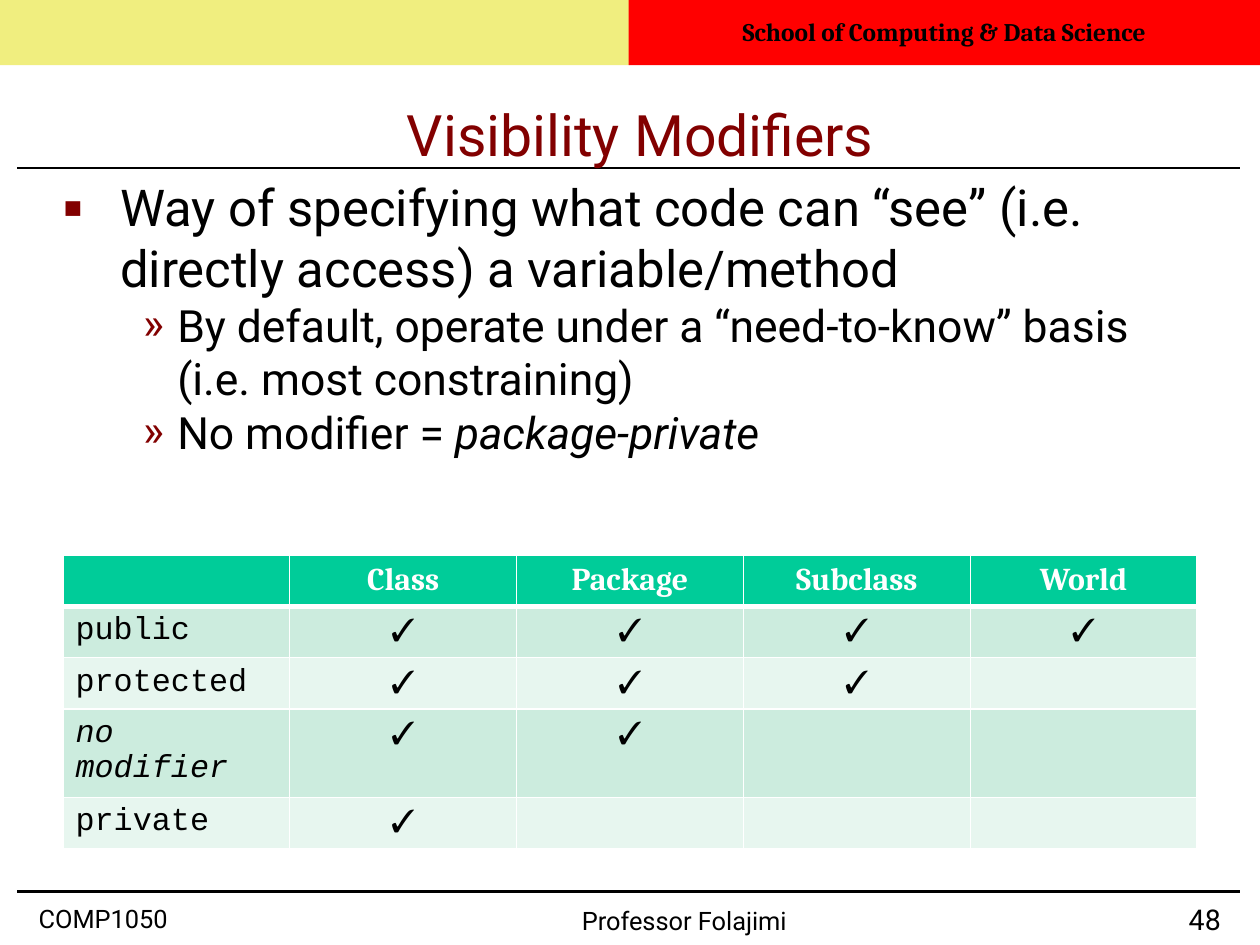
from lxml.etree import SubElement
from pptx import Presentation
from pptx.dml.color import RGBColor
from pptx.enum.shapes import MSO_CONNECTOR, MSO_SHAPE
from pptx.enum.text import MSO_ANCHOR, PP_ALIGN
from pptx.oxml import parse_xml
from pptx.oxml.ns import nsdecls, qn
from pptx.util import Cm, Pt

# Content
COLORS = {"black": "000000", "white": "FFFFFF", "maroon": "820000", "yellow": "E3DE00",
          "red": "FF0000", "green": "00CC99", "band1": "CCECDE", "band2": "E7F6EF"}
SCHOOL = "School of Computing & Data Science"
TITLE = "Visibility Modifiers"
# Level, then runs of (text, italic)
BULLETS = [
    (0, [("Way of specifying what code can “see” (i.e. directly access) a variable/method", False)]),
    (1, [("By default, operate under a “need-to-know” basis (i.e. most constraining)", False)]),
    (1, [("No modifier = ", False), ("package-private", True)]),
]
# Per level: size, bullet, left margin, hanging indent (cm)
LEVELS = [(32, "▪", 1.27, 1.27), (28, "»", 2.54, 0.76)]
SCOPES = ["Class", "Package", "Subclass", "World"]
# Modifier, number of scopes with access
MODIFIERS = [("public", 4), ("protected", 3), ("no modifier", 2), ("private", 1)]
# Text, left, top, width, size, alignment
FOOTERS = [
    ("COMP1050", 0.86, 20.07, 4.9, 16, PP_ALIGN.LEFT),
    ("Professor Folajimi", 12.93, 20.12, 4.9, 16, PP_ALIGN.LEFT),
    ("48", 25.02, 20.07, 2.11, 18, PP_ALIGN.RIGHT),
]


def rgb(name):
    return RGBColor.from_string(COLORS[name])


def write(p, text, size=16, font="Roboto", color="black", bold=False, italic=False,
          align=PP_ALIGN.LEFT, spacing=1.0):
    p.alignment, p.line_spacing = align, spacing
    r = p.add_run()
    r.text = text
    f = r.font
    f.name, f.size, f.bold, f.italic = font, Pt(size), bold, italic
    f.color.rgb = rgb(color)


def add_box(left, top, width, height, inset_top=0):
    tf = slide.shapes.add_textbox(Cm(left), Cm(top), Cm(width), Cm(height)).text_frame
    tf.word_wrap = True
    tf.margin_left = tf.margin_right = tf.margin_bottom = 0
    tf.margin_top = Cm(inset_top)
    return tf


def add_bar(left, width, color):
    sp = slide.shapes.add_shape(MSO_SHAPE.RECTANGLE, Cm(left), 0, Cm(width), Cm(1.45))
    sp.shadow.inherit = False
    sp.fill.solid()
    sp.fill.fore_color.rgb = rgb(color)
    sp.line.fill.background()
    return sp


def set_bullet(p, level):
    _, char, margin, hang = LEVELS[level]
    p.level = level
    pPr = p._p.get_or_add_pPr()
    pPr.set("marL", str(Cm(margin)))
    pPr.set("indent", str(-Cm(hang)))
    clr = SubElement(pPr, qn("a:buClr"))
    SubElement(clr, qn("a:srgbClr"), val=COLORS["maroon"])
    SubElement(pPr, qn("a:buFont"), typeface="Roboto")
    SubElement(pPr, qn("a:buChar"), char=char)


def set_borders(cell, widths):
    tcPr = cell._tc.get_or_add_tcPr()
    for i, (side, width) in enumerate(widths.items()):
        tcPr.insert(i, parse_xml(
            f'<a:ln{side} {nsdecls("a")} w="{Pt(width)}"><a:solidFill>'
            f'<a:srgbClr val="{COLORS["white"]}"/></a:solidFill></a:ln{side}>'))


prs = Presentation()
prs.slide_width, prs.slide_height = Cm(28), Cm(21)
slide = prs.slides.add_slide(prs.slide_layouts[6])

# Rules above the body and the footer
for y in (3.73, 19.81):
    rule = slide.shapes.add_connector(MSO_CONNECTOR.STRAIGHT, Cm(0.38), Cm(y), Cm(27.56), Cm(y))
    rule.line.color.rgb = rgb("black")
    rule.line.width = Pt(1.5)
    SubElement(rule._element.spPr, qn("a:effectLst"))

# Header bars
sp = add_bar(0, 14, "yellow")
SubElement(sp.fill._xPr.find(qn("a:solidFill"))[0], qn("a:alpha"), val="50000")
tf = add_bar(13.97, 14.03, "red").text_frame
tf.vertical_anchor = MSO_ANCHOR.MIDDLE
write(tf.paragraphs[0], SCHOOL, font="Cambria", bold=True, align=PP_ALIGN.CENTER, spacing=0.98)

# Footer
for text, left, top, width, size, align in FOOTERS:
    tf = add_box(left, top, width, 0.71, inset_top=0.05)
    write(tf.paragraphs[0], text, size=size, align=align, spacing=0.93)

# Title
tf = add_box(3.43, 1.83, 21.6, 2.03)
tf.vertical_anchor = MSO_ANCHOR.MIDDLE
write(tf.paragraphs[0], TITLE, size=36, color="maroon", align=PP_ALIGN.CENTER, spacing=1.17)

# Bullets
tf = add_box(1.4, 3.91, 25.2, 7.85)
for i, (level, runs) in enumerate(BULLETS):
    p = tf.add_paragraph() if i else tf.paragraphs[0]
    set_bullet(p, level)
    for text, italic in runs:
        write(p, text, size=LEVELS[level][0], italic=italic)

# Access table
rows = [[""] + SCOPES]
rows += [[name] + ["✓" if i < n else "" for i in range(len(SCOPES))] for name, n in MODIFIERS]
n_rows, n_cols = len(rows), len(rows[0])
table = slide.shapes.add_table(n_rows, n_cols, Cm(1.4), Cm(12.34), Cm(25.2), Cm(1.14 * n_rows)).table
for i, row in enumerate(rows):
    header = i == 0
    fill = "green" if header else ("band1" if i % 2 else "band2")
    for j, text in enumerate(row):
        cell = table.cell(i, j)
        cell.margin_left = cell.margin_right = Cm(0.28)
        cell.margin_top = cell.margin_bottom = Cm(0.15)
        cell.fill.solid()
        cell.fill.fore_color.rgb = rgb(fill)
        set_borders(cell, {"L": 1, "R": 1, "T": 3 if i == 1 else 1, "B": 3 if header else 1})
        if text:
            write(cell.text_frame.paragraphs[0], text, size=20, spacing=0.98, bold=header,
                  font="Cambria" if j else "Courier New", color="white" if header else "black",
                  italic=text == "no modifier", align=PP_ALIGN.CENTER if j else PP_ALIGN.LEFT)

prs.save("out.pptx")
